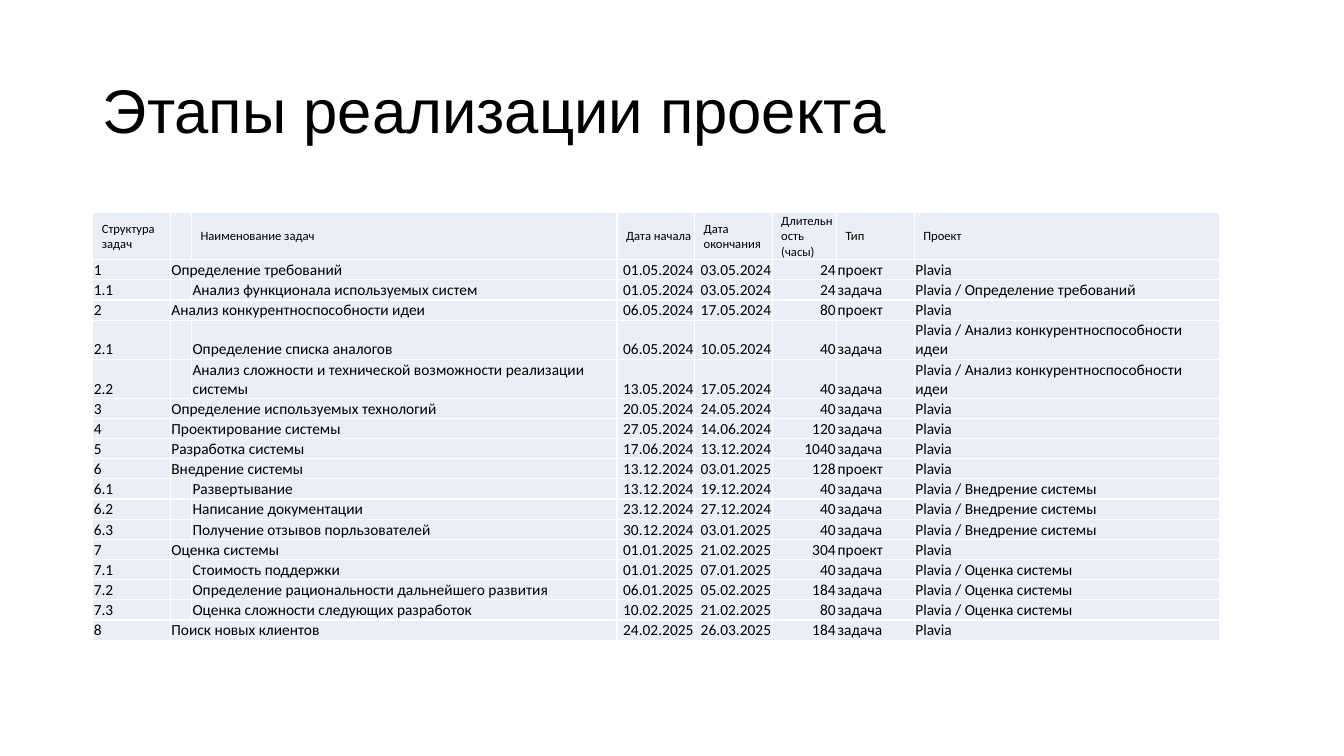
from dataclasses import dataclass

from lxml.etree import SubElement
from pptx import Presentation
from pptx.dml.color import RGBColor
from pptx.enum.text import MSO_ANCHOR as Anchor, PP_ALIGN as Align
from pptx.oxml.ns import qn
from pptx.slide import Slide
from pptx.table import Table, _Cell as Cell
from pptx.util import Inches, Pt

COLORS = {"text": "000000", "cell": "EAEFF7", "border": "FFFFFF"}
PROJECT = "Plavia"
HEADERS = ("Структура задач", "", "Наименование задач", "Дата начала",
           "Дата окончания", "Длительность (часы)", "Тип", "Проект")
COLUMN_WIDTHS = (0.77, 0.21, 4.22, 0.77, 0.77, 0.64, 0.77, 3.03)
RIGHT_ALIGNED = (3, 4, 5)
HEADER_HEIGHT, ROW_HEIGHT = 0.45, 0.2


@dataclass(frozen=True)
class Task:
    name: str
    start: str
    end: str
    hours: int
    subtasks: tuple["Task", ...] = ()


@dataclass(frozen=True)
class CellStyle:
    size: int
    anchor: Anchor
    left_margin: float


HEADER_STYLE = CellStyle(9, Anchor.MIDDLE, 0.09)
BODY_STYLE = CellStyle(11, Anchor.BOTTOM, 0.01)

TASKS = (
    Task("Определение требований", "01.05.2024", "03.05.2024", 24, (
        Task("Анализ функционала используемых систем", "01.05.2024", "03.05.2024", 24),
    )),
    Task("Анализ конкурентноспособности идеи", "06.05.2024", "17.05.2024", 80, (
        Task("Определение списка аналогов", "06.05.2024", "10.05.2024", 40),
        Task("Анализ сложности и технической возможности реализации системы",
             "13.05.2024", "17.05.2024", 40),
    )),
    Task("Определение используемых технологий", "20.05.2024", "24.05.2024", 40),
    Task("Проектирование системы", "27.05.2024", "14.06.2024", 120),
    Task("Разработка системы", "17.06.2024", "13.12.2024", 1040),
    Task("Внедрение системы", "13.12.2024", "03.01.2025", 128, (
        Task("Развертывание", "13.12.2024", "19.12.2024", 40),
        Task("Написание документации", "23.12.2024", "27.12.2024", 40),
        Task("Получение отзывов порльзователей", "30.12.2024", "03.01.2025", 40),
    )),
    Task("Оценка системы", "01.01.2025", "21.02.2025", 304, (
        Task("Стоимость поддержки", "01.01.2025", "07.01.2025", 40),
        Task("Определение рациональности дальнейшего развития",
             "06.01.2025", "05.02.2025", 184),
        Task("Оценка сложности следующих разработок", "10.02.2025", "21.02.2025", 80),
    )),
    Task("Поиск новых клиентов", "24.02.2025", "26.03.2025", 184),
)


def task_rows() -> list[tuple[str, ...]]:
    """Flatten the tasks; a top-level name sits in column 1, a subtask's in column 2."""
    rows = []
    for number, task in enumerate(TASKS, 1):
        kind = "проект" if task.subtasks else "задача"
        rows.append((str(number), task.name, "", task.start, task.end,
                     str(task.hours), kind, PROJECT))
        for index, sub in enumerate(task.subtasks, 1):
            rows.append((f"{number}.{index}", "", sub.name, sub.start, sub.end,
                         str(sub.hours), "задача", f"{PROJECT} / {task.name}"))
    return rows


def add_borders(cell: Cell) -> None:
    properties = cell._tc.get_or_add_tcPr()
    for side in ("a:lnL", "a:lnR", "a:lnT", "a:lnB"):
        line = SubElement(properties, qn(side), w=str(Pt(1)))
        fill = SubElement(line, qn("a:solidFill"))
        SubElement(fill, qn("a:srgbClr"), val=COLORS["border"])


def fill_cell(cell: Cell, text: str, style: CellStyle, align: Align) -> None:
    add_borders(cell)
    cell.fill.solid()
    cell.fill.fore_color.rgb = RGBColor.from_string(COLORS["cell"])
    cell.vertical_anchor = style.anchor
    cell.margin_left = Inches(style.left_margin)
    cell.margin_right = cell.margin_top = Inches(0.01)
    cell.margin_bottom = 0
    para = cell.text_frame.paragraphs[0]
    para.alignment = align
    para.font.name = "Calibri"
    para.font.size = Pt(style.size)
    para.font.color.rgb = RGBColor.from_string(COLORS["text"])
    if text:
        para.add_run().text = text
    else:
        # An empty paragraph takes its height from its end mark
        SubElement(para._p, qn("a:endParaRPr"), sz=str(style.size * 100))


def fill_row(table: Table, row: int, texts: tuple[str, ...], style: CellStyle) -> None:
    for column, text in enumerate(texts):
        right = style is BODY_STYLE and column in RIGHT_ALIGNED
        fill_cell(table.cell(row, column), text, style, Align.RIGHT if right else Align.LEFT)


def add_task_table(slide: Slide) -> None:
    rows = task_rows()
    table = slide.shapes.add_table(
        len(rows) + 1, len(HEADERS), Inches(0.92), Inches(2.11),
        Inches(sum(COLUMN_WIDTHS)), Inches(HEADER_HEIGHT + ROW_HEIGHT * len(rows))).table
    table.first_row = table.horz_banding = False
    for column, width in zip(table.columns, COLUMN_WIDTHS):
        column.width = Inches(width)
    table.rows[0].height = Inches(HEADER_HEIGHT)
    fill_row(table, 0, HEADERS, HEADER_STYLE)
    for index, texts in enumerate(rows, 1):
        table.rows[index].height = Inches(ROW_HEIGHT)
        fill_row(table, index, texts, BODY_STYLE)
        if texts[1]:
            table.cell(index, 1).merge(table.cell(index, 2))


def format_title(slide: Slide) -> None:
    title = slide.shapes.title
    title.left, title.top = Inches(0.92), Inches(0.4)
    title.width, title.height = Inches(11.5), Inches(1.45)
    title.text_frame.text = "Этапы реализации проекта"
    title.text_frame.vertical_anchor = Anchor.MIDDLE
    para = title.text_frame.paragraphs[0]
    para.alignment = Align.LEFT
    para.line_spacing = 0.9
    para.font.name = "Arial"
    para.font.size = Pt(44)
    para.font.color.rgb = RGBColor.from_string(COLORS["text"])


def main() -> None:
    deck = Presentation()
    deck.slide_width, deck.slide_height = Inches(13.33), Inches(7.5)
    slide = deck.slides.add_slide(deck.slide_layouts[5])
    format_title(slide)
    add_task_table(slide)
    deck.save("out.pptx")


if __name__ == "__main__":
    main()
